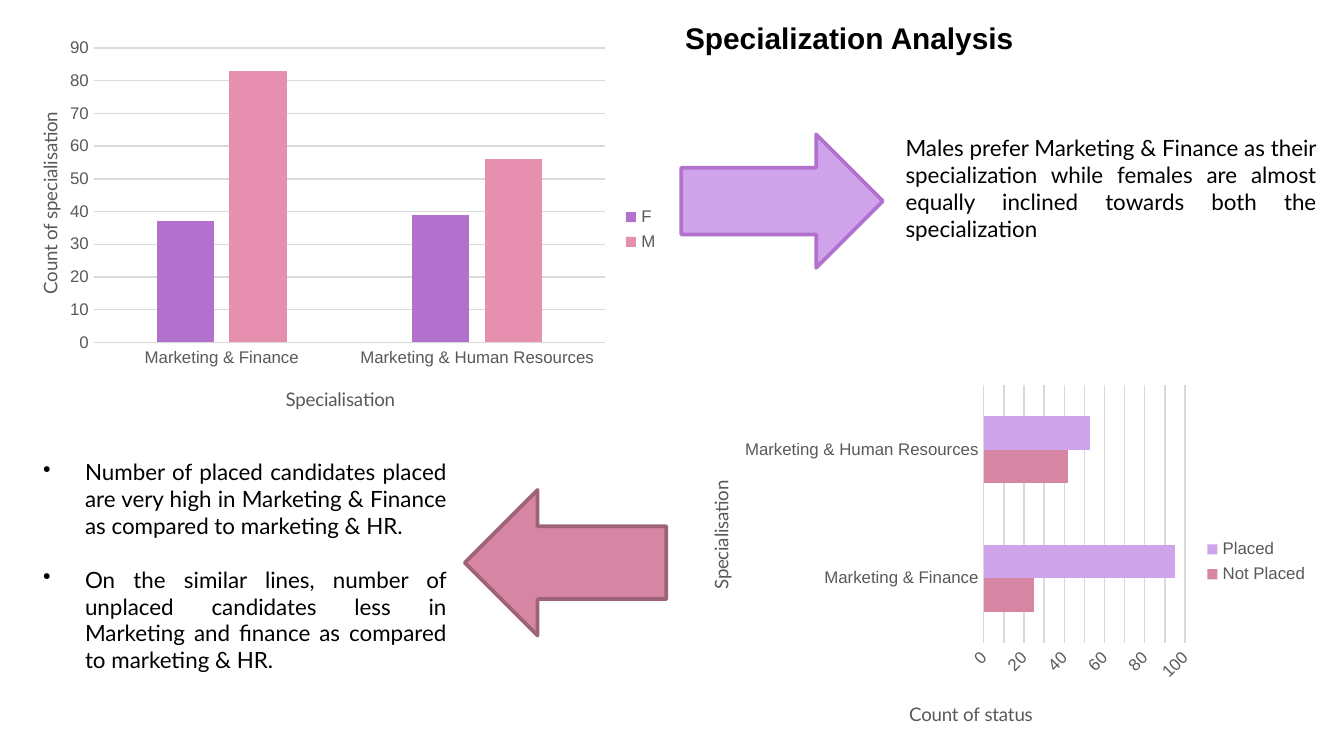
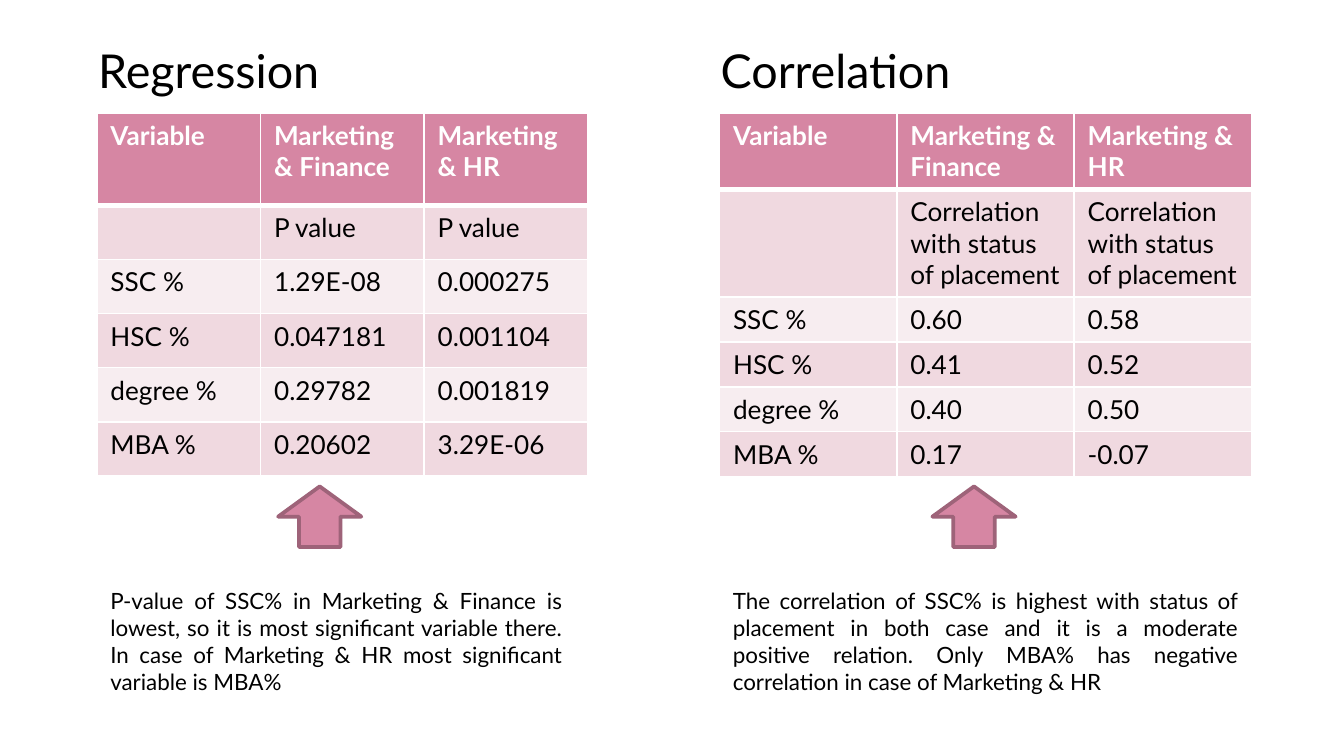
from lxml import etree
from pptx import Presentation
from pptx.chart.data import CategoryChartData
from pptx.dml.color import RGBColor
from pptx.enum import chart as ch
from pptx.enum import shapes, text
from pptx.oxml import parse_xml
from pptx.oxml.ns import nsdecls, qn
from pptx.util import Pt

INK = {
    "black": "000000", "white": "FFFFFF", "gray": "595959", "grid": "D9D9D9",
    "purple": "B271CC", "lilac": "D0A4EB", "pink": "E78FAF", "rose": "D686A3",
    "plum": "9E6379", "band": "F0D9E0", "pale": "F7EDF0",
}
SANS, BODY = "Arial", "Lato"
MAJORS = ["Marketing & Finance", "Marketing & Human Resources"]
HEADS = ["Variable", "Marketing & Finance", "Marketing & HR"]
MARKS = ["SSC %", "HSC %", "degree %", "MBA %"]
JUST = text.PP_ALIGN.JUSTIFY


def rgb(name):
    return RGBColor.from_string(INK[name])


def style(font, size, name=BODY, ink="black", bold=False):
    font.size, font.name, font.bold = Pt(size), name, bold
    font.color.rgb = rgb(ink)


def dot(para):
    props = para._p.get_or_add_pPr()
    props.set("marL", str(Pt(22.5)))
    props.set("indent", str(-Pt(22.5)))
    mark = parse_xml(f'<a:buChar {nsdecls("a")} char="•"/>')
    props.insert_element_before(mark, "a:tabLst", "a:defRPr", "a:extLst")


def write(slide, box, lines, size=12, name=BODY, bold=False, align=None, dots=False):
    frame = slide.shapes.add_textbox(*map(Pt, box)).text_frame
    frame.word_wrap = True
    frame.auto_size = text.MSO_AUTO_SIZE.SHAPE_TO_FIT_TEXT
    for i, line in enumerate(lines):
        para = frame.add_paragraph() if i else frame.paragraphs[0]
        para.text = line
        para.alignment = align
        style(para.font, size, name, bold=bold)
        if i:
            para.space_before = Pt(14.4)
        if dots:
            dot(para)


def arrow(slide, kind, box, fill="rose", edge="plum"):
    shape = slide.shapes.add_shape(kind, *map(Pt, box))
    shape.shadow.inherit = False
    shape.fill.solid()
    shape.fill.fore_color.rgb = rgb(fill)
    shape.line.color.rgb = rgb(edge)
    shape.line.width = Pt(2)


def place(parent, spot, before, inner=False):
    for old in parent.findall(qn("c:layout")):
        parent.remove(old)
    modes = [("layoutTarget", "inner")] if inner else []
    modes += [("xMode", "edge"), ("yMode", "edge"), *zip("xywh", spot)]
    tags = "".join(f'<c:{tag} val="{val}"/>' for tag, val in modes)
    node = parse_xml(f'<c:layout {nsdecls("c")}><c:manualLayout>{tags}'
                     '</c:manualLayout></c:layout>')
    if before is None:
        parent.insert(0, node)
    else:
        parent.find(qn(before)).addprevious(node)


def label(axis, title, spot):
    axis.major_tick_mark = axis.minor_tick_mark = ch.XL_TICK_MARK.NONE
    style(axis.tick_labels.font, 9, SANS, "gray")
    para = axis.axis_title.text_frame.paragraphs[0]
    para.text = title
    style(para.font, 10, BODY, "gray")
    place(axis.axis_title._element, spot, "c:overlay")


def plot(slide, kind, box, data, gap, lap, top, area, cat, val):
    info = CategoryChartData()
    info.categories = MAJORS
    for name, vals, _ in data:
        info.add_series(name, vals)
    chart = slide.shapes.add_chart(kind, *map(Pt, box), info).chart
    chart.has_title = False
    style(chart.font, 10, SANS)
    chart.has_legend = True
    chart.legend.position = ch.XL_LEGEND_POSITION.RIGHT
    chart.legend.include_in_layout = False
    style(chart.legend.font, 9, SANS, "gray")
    bars = chart.plots[0]
    bars.gap_width, bars.overlap, bars.vary_by_categories = gap, lap, False
    for item, (_, _, ink) in zip(bars.series, data):
        item.format.fill.solid()
        item.format.fill.fore_color.rgb = rgb(ink)
    cats, vals = chart.category_axis, chart.value_axis
    label(cats, *cat)
    label(vals, *val)
    vals.minimum_scale, vals.maximum_scale, vals.major_unit = 0, top, 10
    vals.format.line.fill.background()
    for line in (cats.format.line, vals.major_gridlines.format.line):
        line.color.rgb = rgb("grid")
        line.width = Pt(0.75)
    place(chart._chartSpace.chart.plotArea, area, None, True)
    return chart


def edge(cell, foot):
    props = cell._tc.get_or_add_tcPr()
    for side in "LRTB":
        line = etree.SubElement(props, qn(f"a:ln{side}"))
        line.set("w", str(Pt(foot if side == "B" else 1)))
        fill = etree.SubElement(line, qn("a:solidFill"))
        etree.SubElement(fill, qn("a:srgbClr")).set("val", INK["white"])


def grid(slide, box, highs, rows):
    table = slide.shapes.add_table(len(rows), len(rows[0]), *map(Pt, box)).table
    for col in table.columns:
        col.width = Pt(box[2] / len(rows[0]))
    for r, (high, row) in enumerate(zip(highs, rows)):
        table.rows[r].height = Pt(high)
        for c, word in enumerate(row):
            cell = table.cell(r, c)
            cell.text = word
            style(cell.text_frame.paragraphs[0].font, 14,
                  ink="black" if r else "white", bold=not r)
            edge(cell, 1 if r else 3)
            cell.fill.solid()
            cell.fill.fore_color.rgb = rgb(("band" if r % 2 else "pale") if r else "rose")


def panel(slide, left, width, title, highs, sub, vals, tip, note, wide):
    write(slide, (left - 6.5, 18.7, 248, 37.5), [title], 25)
    rows = [HEADS, ["", sub, sub]] + [[m, *pair] for m, pair in zip(MARKS, vals)]
    grid(slide, (left, 60.5, width, 194.5), highs, rows)
    arrow(slide, shapes.MSO_SHAPE.UP_ARROW, (tip, 260.6, 44.6, 32.4))
    write(slide, (left, 311, wide, 65.5), [note], align=JUST)


def majors(slide):
    plot(slide, ch.XL_CHART_TYPE.COLUMN_CLUSTERED, (0, 15, 360, 216),
         [("F", (37, 39), "purple"), ("M", (83, 56), "pink")], 219, -27, 90,
         (0.14, 0.05, 0.76, 0.73),
         ("Specialisation", (0.42, 0.88)), ("Count of specialisation", (0.05, 0.2)))
    chart = plot(slide, ch.XL_CHART_TYPE.BAR_CLUSTERED, (360, 202.5, 348, 197),
                 [("Not Placed", (25, 42), "rose"), ("Placed", (95, 53), "lilac")],
                 182, 0, 100, (0.48, 0.02, 0.31, 0.7),
                 ("Specialisation", (0.05, 0.27)), ("Count of status", (0.36, 0.87)))
    body = chart.value_axis._element.find(qn("c:txPr")).find(qn("a:bodyPr"))
    body.set("rot", "-2700000")
    arrow(slide, shapes.MSO_SHAPE.RIGHT_ARROW, (365, 72, 108, 71.5), "lilac", "purple")
    write(slide, (478, 68.5, 234.5, 65.5),
          ["Males prefer Marketing & Finance as their specialization while females "
           "are almost equally inclined towards both the specialization"], align=JUST)
    arrow(slide, shapes.MSO_SHAPE.LEFT_ARROW, (249, 262.5, 108, 78))
    write(slide, (16, 242, 230.5, 124),
          ["Number of placed candidates placed are very high in Marketing & Finance "
           "as compared to marketing & HR.",
           "On the similar lines, number of unplaced candidates less in Marketing "
           "and finance as compared to marketing & HR."], align=JUST, dots=True)
    write(slide, (360, 7.2, 235, 26.6), ["Specialization Analysis"], 16, SANS, True)


def stats(slide):
    panel(slide, 52, 263, "Regression", [49.5] + [29] * 5, "P value",
          [("1.29E-08", "0.000275"), ("0.047181", "0.001104"),
           ("0.29782", "0.001819"), ("0.20602", "3.29E-06")], 149,
          "P-value of SSC% in Marketing & Finance is lowest, so it is most significant "
          "variable there. In case of Marketing & HR most significant variable is MBA%",
          256.5)
    panel(slide, 385.5, 285, "Correlation", [41, 57.5] + [24] * 4,
          "Correlation with status of placement",
          [("0.60", "0.58"), ("0.41", "0.52"), ("0.40", "0.50"), ("0.17", "-0.07")], 499.5,
          "The correlation of SSC% is highest with status of placement in both case and "
          "it is a moderate positive relation. Only MBA% has negative correlation in "
          "case of Marketing & HR", 285)


def main():
    deck = Presentation()
    deck.slide_width, deck.slide_height = Pt(720), Pt(405)
    for draw in (majors, stats):
        draw(deck.slides.add_slide(deck.slide_layouts[6]))
    deck.save("out.pptx")


if __name__ == "__main__":
    main()
